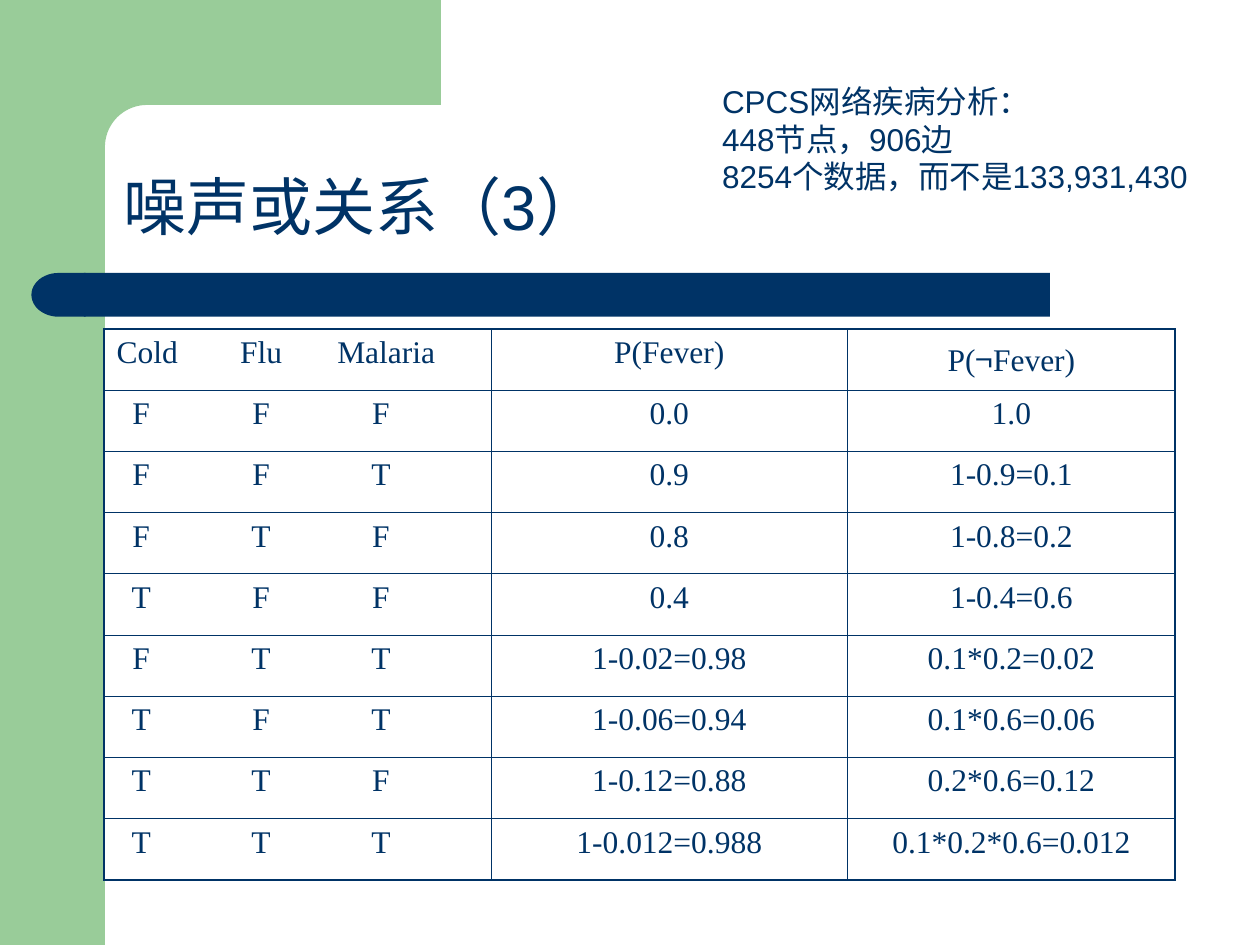
from dataclasses import dataclass
from math import cos, radians, sin

from lxml import etree
from pptx import Presentation
from pptx.dml.color import RGBColor
from pptx.enum.shapes import MSO_SHAPE
from pptx.enum.text import MSO_ANCHOR, PP_ALIGN
from pptx.oxml.ns import qn
from pptx.util import Pt

RECTANGLE = MSO_SHAPE.RECTANGLE
ROUNDED = MSO_SHAPE.ROUNDED_RECTANGLE
DELAY = MSO_SHAPE.FLOWCHART_DELAY
LEFT, CENTER = PP_ALIGN.LEFT, PP_ALIGN.CENTER
BOTTOM = MSO_ANCHOR.BOTTOM


@dataclass(frozen=True)
class Theme:
    navy: RGBColor = RGBColor(0x00, 0x33, 0x66)
    green: RGBColor = RGBColor(0x99, 0xCC, 0x99)
    sans: str = "Arial"
    serif: str = "Times New Roman"
    chinese: str = "Noto Sans CJK SC"
    title_size: int = 36
    body_size: int = 18
    outer_line: float = 1.08
    inner_line: float = 0.45


theme = Theme()


def add_span(para, text, font_name, size):
    span = para.add_run()
    span.text = text
    span.font.name = font_name
    span.font.size = Pt(size)
    span.font.color.rgb = theme.navy
    east_asian = etree.SubElement(span.font._element, qn("a:ea"))
    east_asian.set("typeface", theme.chinese)


def paint(shape, color):
    shape.shadow.inherit = False
    shape.fill.solid()
    shape.fill.fore_color.rgb = color
    shape.line.fill.background()


deck = Presentation()
deck.slide_width, deck.slide_height = Pt(720), Pt(540)
page = deck.slides.add_slide(deck.slide_layouts[6])

# Green side band, and the top band with its rounded inner corner
side_band = page.shapes.add_shape(RECTANGLE, 0, 0, Pt(60), Pt(540))
paint(side_band, theme.green)

radius, corner_x, corner_y = 24, 84, 84
arc = [
    (corner_x + radius * cos(radians(angle)), corner_y - radius * sin(radians(angle)))
    for angle in range(90, 181, 5)
]
outline = [(252, 60), *arc, (60, 92), (36, 92), (36, 0)]
builder = page.shapes.build_freeform(Pt(252), 0)
builder.add_line_segments([(Pt(x), Pt(y)) for x, y in outline], close=True)
paint(builder.convert_to_shape(), theme.green)

# Navy divider with a round left end
divider = page.shapes.add_shape(ROUNDED, Pt(48), Pt(156), Pt(552), Pt(25))
divider.adjustments[0] = 0
paint(divider, theme.navy)
divider_end = page.shapes.add_shape(DELAY, Pt(18), Pt(156), Pt(31), Pt(25))
divider_end._element.spPr.xfrm.set("flipH", "1")
paint(divider_end, theme.navy)

# Title
title = page.shapes.add_textbox(Pt(63.3), Pt(92.4), Pt(605), Pt(50.4)).text_frame
title.word_wrap = True
title.vertical_anchor = BOTTOM
title.paragraphs[0].line_spacing = 0.9
add_span(title.paragraphs[0], "噪声或关系（3）", theme.sans, theme.title_size)

# Probability table
HEADER = ("Cold\tFlu\tMalaria", "P(Fever)", "P(¬Fever)")
PROBABILITIES = [
    ("FFF", "0.0", "1.0"),
    ("FFT", "0.9", "1-0.9=0.1"),
    ("FTF", "0.8", "1-0.8=0.2"),
    ("TFF", "0.4", "1-0.4=0.6"),
    ("FTT", "1-0.02=0.98", "0.1*0.2=0.02"),
    ("TFT", "1-0.06=0.94", "0.1*0.6=0.06"),
    ("TTF", "1-0.12=0.88", "0.2*0.6=0.12"),
    ("TTT", "1-0.012=0.988", "0.1*0.2*0.6=0.012"),
]
HEADER_STOPS = (82.5, 154)
CAUSE_STOPS = (14, 82.5, 151)
COLUMN_WIDTHS = (221, 204, 187)
ROW_HEIGHT = 35

rows = [HEADER] + [
    ("".join("\t" + value for value in causes), fever, no_fever)
    for causes, fever, no_fever in PROBABILITIES
]
last_row, last_column = len(rows) - 1, len(COLUMN_WIDTHS) - 1
table = page.shapes.add_table(
    len(rows), len(COLUMN_WIDTHS), Pt(59.5), Pt(188),
    Pt(sum(COLUMN_WIDTHS)), Pt(ROW_HEIGHT * len(rows)),
).table
table.first_row = table.horz_banding = False
for column, width in zip(table.columns, COLUMN_WIDTHS):
    column.width = Pt(width)

for row_index, row in enumerate(rows):
    table.rows[row_index].height = Pt(ROW_HEIGHT)
    for column_index, text in enumerate(row):
        cell = table.cell(row_index, column_index)
        cell.fill.background()
        para = cell.text_frame.paragraphs[0]
        para.alignment = CENTER if column_index else LEFT

        if column_index == 0:
            tab_list = etree.SubElement(para._p.get_or_add_pPr(), qn("a:tabLst"))
            for stop in CAUSE_STOPS if row_index else HEADER_STOPS:
                etree.SubElement(
                    tab_list, qn("a:tab"), pos=str(int(Pt(stop))), algn="ctr"
                )

        before, negation, after = text.partition("¬")
        for part, font_name in (
            (before, theme.serif), (negation, theme.chinese), (after, theme.serif)
        ):
            if part:
                add_span(para, part, font_name, theme.body_size)

        edges = (
            ("a:lnL", column_index == 0),
            ("a:lnR", column_index == last_column),
            ("a:lnT", row_index == 0),
            ("a:lnB", row_index == last_row),
        )
        properties = cell._tc.get_or_add_tcPr()
        for position, (tag, is_outer) in enumerate(edges):
            weight = theme.outer_line if is_outer else theme.inner_line
            border = etree.Element(qn(tag), w=str(int(Pt(weight))))
            fill = etree.SubElement(border, qn("a:solidFill"))
            etree.SubElement(fill, qn("a:srgbClr"), val=str(theme.navy))
            properties.insert(position, border)

# Network facts
facts = page.shapes.add_textbox(Pt(405.5), Pt(43.2), Pt(281), Pt(93.6)).text_frame
facts.word_wrap = True
FACT_LINES = ("CPCS网络疾病分析：", "448节点，906边", "8254个数据，而不是133,931,430")
for index, line in enumerate(FACT_LINES):
    para = facts.add_paragraph() if index else facts.paragraphs[0]
    add_span(para, line, theme.sans, theme.body_size)

deck.save("out.pptx")
